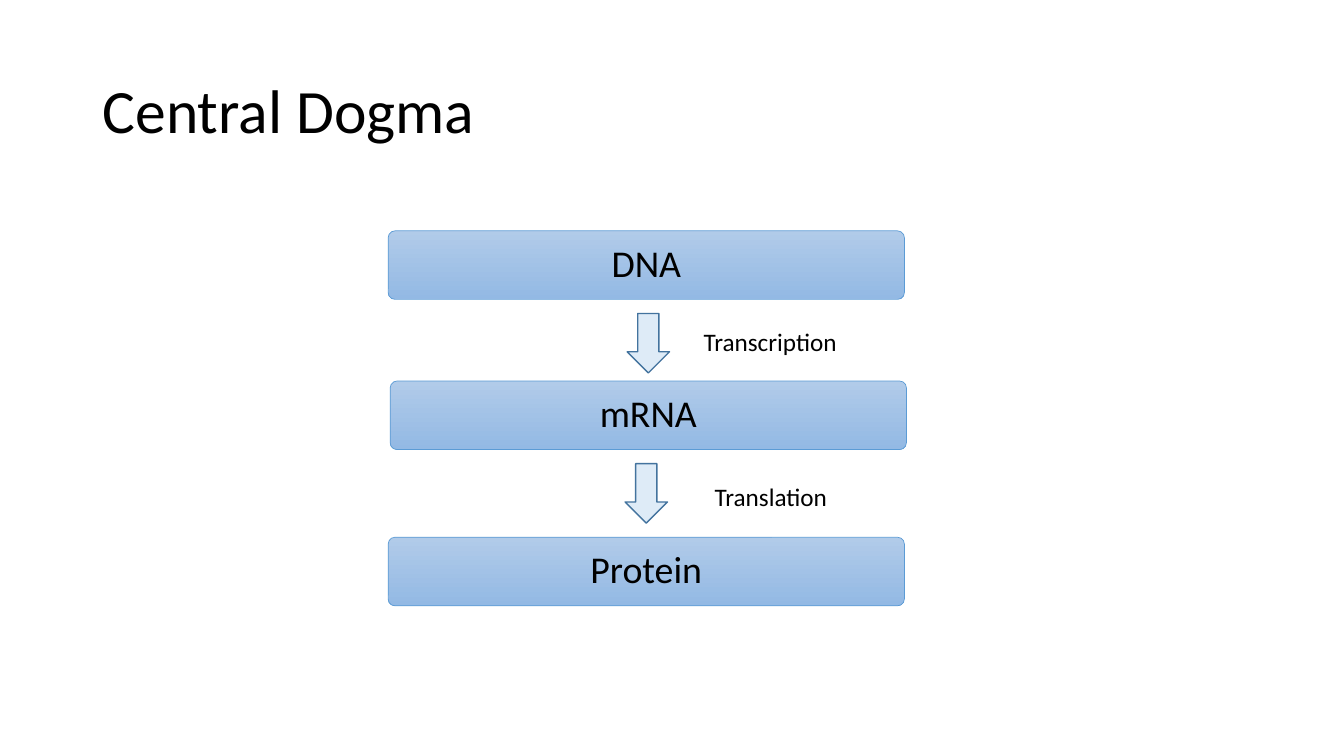
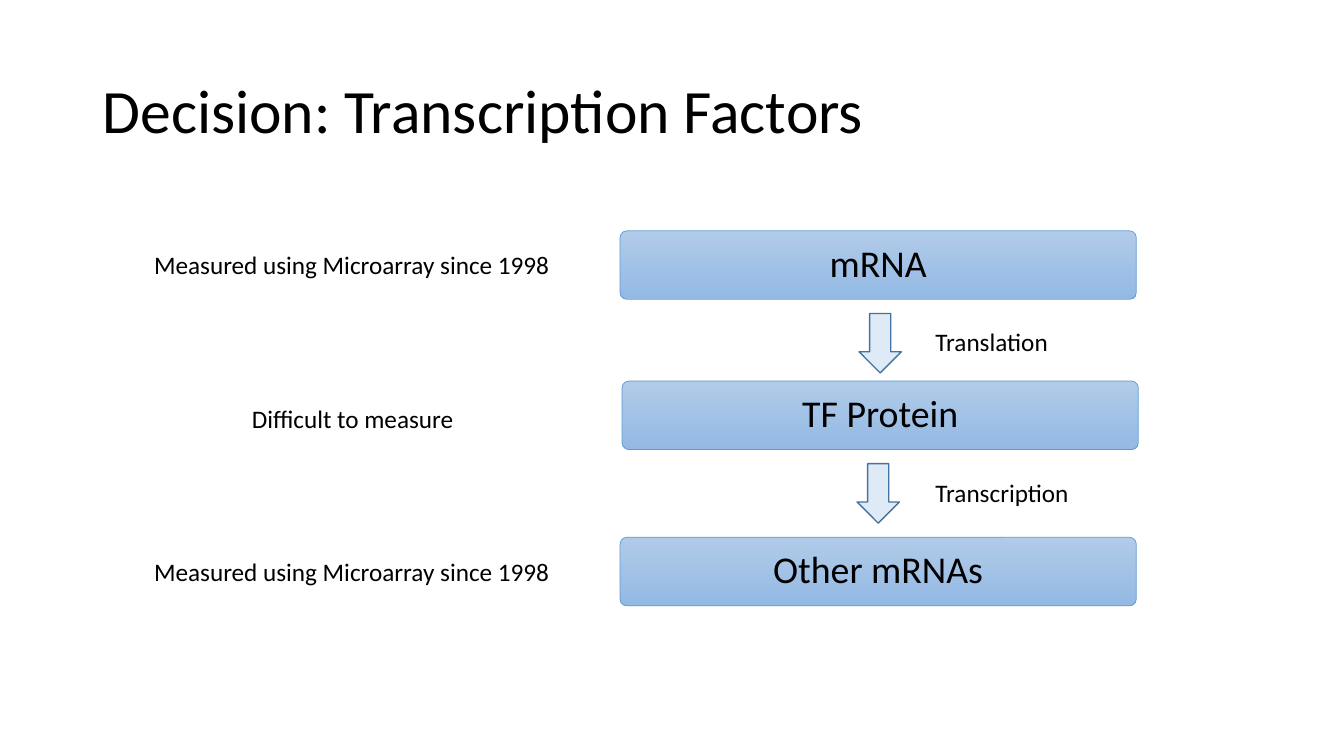
from pptx import Presentation
from pptx.dml.color import RGBColor
from pptx.enum.shapes import MSO_SHAPE
from pptx.enum.text import MSO_ANCHOR, PP_ALIGN
from pptx.util import Inches, Pt

ROUNDED = MSO_SHAPE.ROUNDED_RECTANGLE
DOWN_ARROW = MSO_SHAPE.DOWN_ARROW
MIDDLE, TOP = MSO_ANCHOR.MIDDLE, MSO_ANCHOR.TOP
LEFT, CENTER = PP_ALIGN.LEFT, PP_ALIGN.CENTER

FONT = "Calibri"
COLORS = {
    "text": "000000",
    "box_top": "B1CBE9",
    "box_bottom": "93B9E4",
    "box_line": "5B9BD5",
    "arrow": "DEEBF7",
    "arrow_line": "43739E",
}

# Flow geometry in inches; nudges are offsets from the left of the flow
BOX_WIDTH, BOX_HEIGHT = 5.12, 0.68
BOX_TOPS, BOX_NUDGES = (2.29, 3.78, 5.33), (0, 0.02, 0)
ARROW_WIDTH, ARROW_HEIGHT = 0.42, 0.59
ARROW_TOPS, ARROW_NUDGES = (3.11, 4.6), (0.02, 0)
LABEL_HEIGHT = 0.4


def color(name):
    return RGBColor.from_string(COLORS[name])


def write_text(shape, text, size=18, align=LEFT, anchor=TOP, wrap=True, spacing=1.0):
    frame = shape.text_frame
    frame.word_wrap = wrap
    frame.vertical_anchor = anchor
    paragraph = frame.paragraphs[0]
    paragraph.alignment = align
    paragraph.line_spacing = spacing
    run = paragraph.add_run()
    run.text = text
    run.font.name = FONT
    run.font.size = Pt(size)
    run.font.color.rgb = color("text")


def add_text(slide, text, left, top, width, height, **text_format):
    shape = slide.shapes.add_textbox(
        Inches(left), Inches(top), Inches(width), Inches(height))
    write_text(shape, text, **text_format)


def add_outlined(slide, kind, left, top, width, height, line, line_width):
    shape = slide.shapes.add_shape(
        kind, Inches(left), Inches(top), Inches(width), Inches(height))
    shape.shadow.inherit = False
    shape.line.color.rgb = color(line)
    shape.line.width = Pt(line_width)
    return shape


def add_box(slide, text, left, top):
    box = add_outlined(
        slide, ROUNDED, left, top, BOX_WIDTH, BOX_HEIGHT, "box_line", 0.5)
    box.adjustments[0] = 0.1
    box.fill.gradient()
    box.fill.gradient_angle = 270
    for stop, name in zip(box.fill.gradient_stops, ("box_top", "box_bottom")):
        stop.color.rgb = color(name)
    write_text(box, text, size=27, align=CENTER, anchor=MIDDLE, spacing=0.9)


def add_arrow(slide, left, top):
    arrow = add_outlined(
        slide, DOWN_ARROW, left, top, ARROW_WIDTH, ARROW_HEIGHT, "arrow_line", 1)
    arrow.fill.solid()
    arrow.fill.fore_color.rgb = color("arrow")


def add_flow(slide, left, steps):
    for text, top, nudge in zip(steps, BOX_TOPS, BOX_NUDGES):
        add_box(slide, text, left + nudge, top)
    arrow_left = left + (BOX_WIDTH - ARROW_WIDTH) / 2
    for top, nudge in zip(ARROW_TOPS, ARROW_NUDGES):
        add_arrow(slide, arrow_left + nudge, top)


def add_flow_slide(presentation, title, flow_left, steps, labels):
    slide = presentation.slides.add_slide(presentation.slide_layouts[6])
    add_text(slide, title, 0.92, 0.4, 11.5, 1.45,
             size=44, anchor=MIDDLE, spacing=0.9)
    add_flow(slide, flow_left, steps)
    for text, left, top, width in labels:
        add_text(slide, text, left, top, width, LABEL_HEIGHT, wrap=False)


def main():
    presentation = Presentation()
    presentation.slide_width = Inches(13.33)
    presentation.slide_height = Inches(7.5)

    # Slide 1: from DNA to protein
    add_flow_slide(
        presentation, "Central Dogma", 3.85, ("DNA", "mRNA", "Protein"),
        (("Transcription", 6.88, 3.19, 1.54),
         ("Translation", 6.99, 4.73, 1.33)))

    # Slide 2: transcription factors, with notes on measurement
    measured = "Measured using Microarray since 1998"
    add_flow_slide(
        presentation, "Decision: Transcription Factors", 6.15,
        ("mRNA", "TF Protein", "Other mRNAs"),
        (("Translation", 9.18, 3.19, 1.33),
         ("Transcription", 9.18, 4.69, 1.54),
         (measured, 1.43, 2.42, 4.17),
         ("Difficult to measure", 2.4, 3.95, 2.23),
         (measured, 1.43, 5.47, 4.17)))

    presentation.save("out.pptx")


if __name__ == "__main__":
    main()
